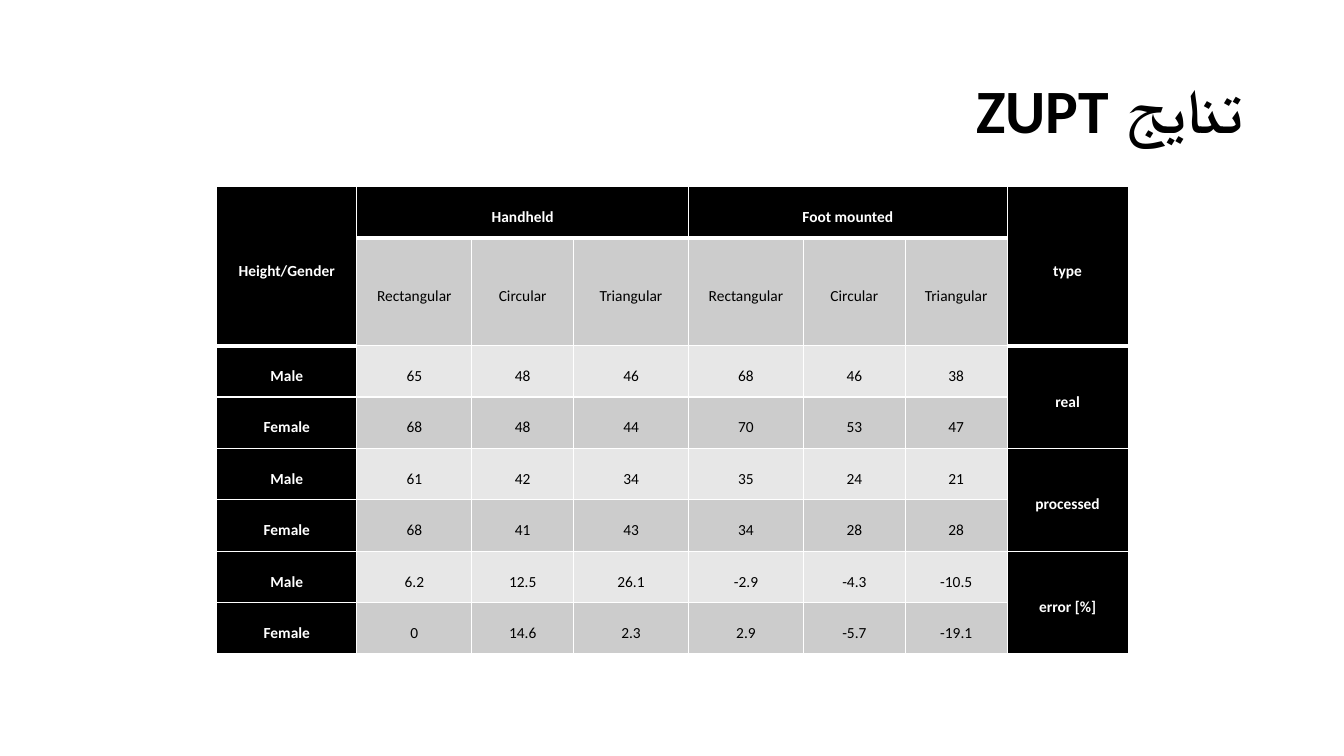
from lxml import etree
from pptx import Presentation
from pptx.dml.color import RGBColor
from pptx.enum.text import MSO_ANCHOR, PP_ALIGN
from pptx.oxml.ns import qn
from pptx.util import Inches, Pt

BLACK = RGBColor(0x00, 0x00, 0x00)
WHITE = RGBColor(0xFF, 0xFF, 0xFF)
DARK = RGBColor(0xCC, 0xCC, 0xCC)
LIGHT = RGBColor(0xE7, 0xE7, 0xE7)
MIDDLE = MSO_ANCHOR.MIDDLE
CENTER, RIGHT = PP_ALIGN.CENTER, PP_ALIGN.RIGHT
FONT = "Calibri"

# Content: empty strings are covered by merged cells
TITLE = "تنایج ZUPT"
SHAPES = ["Rectangular", "Circular", "Triangular"]
ROWS = [
    ["Height/Gender", "Handheld", "", "", "Foot mounted", "", "", "type"],
    ["", *SHAPES, *SHAPES, ""],
    ["Male", "65", "48", "46", "68", "46", "38", "real"],
    ["Female", "68", "48", "44", "70", "53", "47", ""],
    ["Male", "61", "42", "34", "35", "24", "21", "processed"],
    ["Female", "68", "41", "43", "34", "28", "28", ""],
    ["Male", "6.2", "12.5", "26.1", "-2.9", "-4.3", "-10.5", "error [%]"],
    ["Female", "0", "14.6", "2.3", "2.9", "-5.7", "-19.1", ""],
]
WIDTHS = [1.39, 1.14, 1.01, 1.14, 1.14, 1.01, 1.01, 1.2]
HEIGHTS = [0.51, 1.07] + [0.51] * 6
LAST = len(WIDTHS) - 1
# Merged blocks: first row, first column, last row, last column
MERGES = [(0, 0, 1, 0), (0, 1, 0, 3), (0, 4, 0, 6)]
MERGES += [(top, LAST, top + 1, LAST) for top in range(0, len(ROWS), 2)]


def style(para, size, color, bold):
    for run in para.runs:
        font = run.font
        font.name, font.size, font.bold = FONT, Pt(size), bold
        font.color.rgb = color


def border(cell, side, width):
    line = etree.SubElement(cell._tc.get_or_add_tcPr(), qn("a:ln" + side),
                            w=str(Pt(width)))
    fill = etree.SubElement(line, qn("a:solidFill"))
    etree.SubElement(fill, qn("a:srgbClr"), val=str(WHITE))


def thick(row, col):
    """Whether the edge below this row is a heavy header rule."""
    return row == (1 if col in (0, LAST) else 0)


prs = Presentation()
prs.slide_width, prs.slide_height = Inches(13.33), Inches(7.5)
slide = prs.slides.add_slide(prs.slide_layouts[6])

# Title, written right to left
box = slide.shapes.add_textbox(Inches(0.92), Inches(0.4), Inches(11.5), Inches(1.45))
frame = box.text_frame
frame.word_wrap = True
frame.vertical_anchor = MIDDLE
frame.text = TITLE
head = frame.paragraphs[0]
head.alignment = RIGHT
head.line_spacing = 0.9
head._p.get_or_add_pPr().set("rtl", "1")
style(head, 44, BLACK, True)

# Results table
table = slide.shapes.add_table(
    len(ROWS), len(WIDTHS), Inches(2.15), Inches(1.85),
    Inches(sum(WIDTHS)), Inches(sum(HEIGHTS))).table
table.first_row = table.horz_banding = False
for col, width in zip(table.columns, WIDTHS):
    col.width = Inches(width)
for row, height in zip(table.rows, HEIGHTS):
    row.height = Inches(height)

for r, texts in enumerate(ROWS):
    for c, text in enumerate(texts):
        cell = table.cell(r, c)
        label = r == 0 or c in (0, LAST)
        cell.margin_left = cell.margin_right = Inches(0.07)
        cell.margin_top = cell.margin_bottom = 0
        cell.vertical_anchor = MIDDLE
        for side in "LR":
            border(cell, side, 1)
        border(cell, "T", 3 if thick(r - 1, c) else 1)
        border(cell, "B", 3 if thick(r, c) else 1)
        cell.fill.solid()
        cell.fill.fore_color.rgb = BLACK if label else DARK if r % 2 else LIGHT
        cell.text_frame.text = text
        para = cell.text_frame.paragraphs[0]
        para.alignment = CENTER
        para.line_spacing = 1.5
        style(para, 11, WHITE if label else BLACK, label)

for top, left, bottom, right in MERGES:
    origin = table.cell(top, left)
    origin.merge(table.cell(bottom, right))
    if thick(bottom, left):
        origin._tc.tcPr.find(qn("a:lnB")).set("w", str(Pt(3)))

prs.save("out.pptx")
